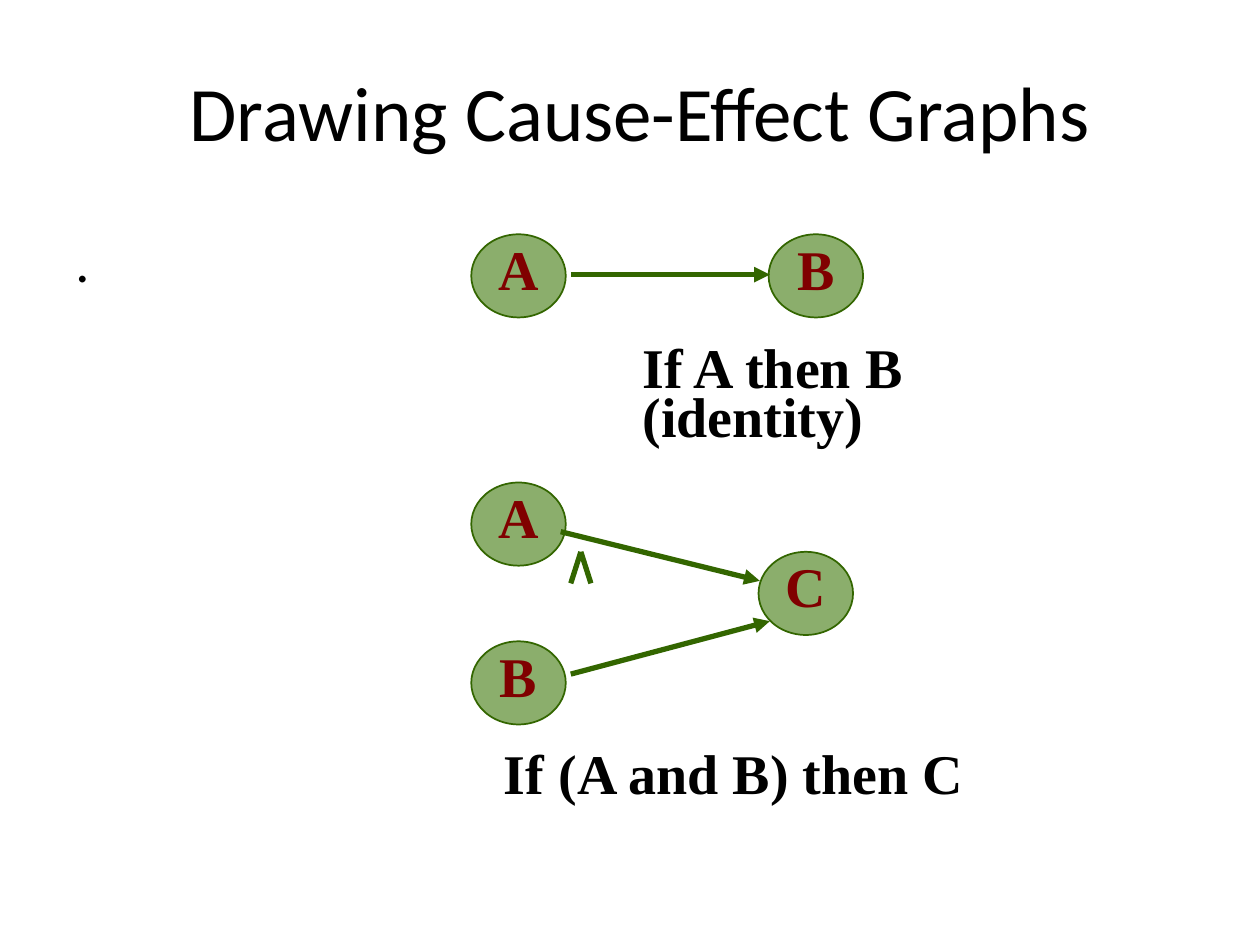
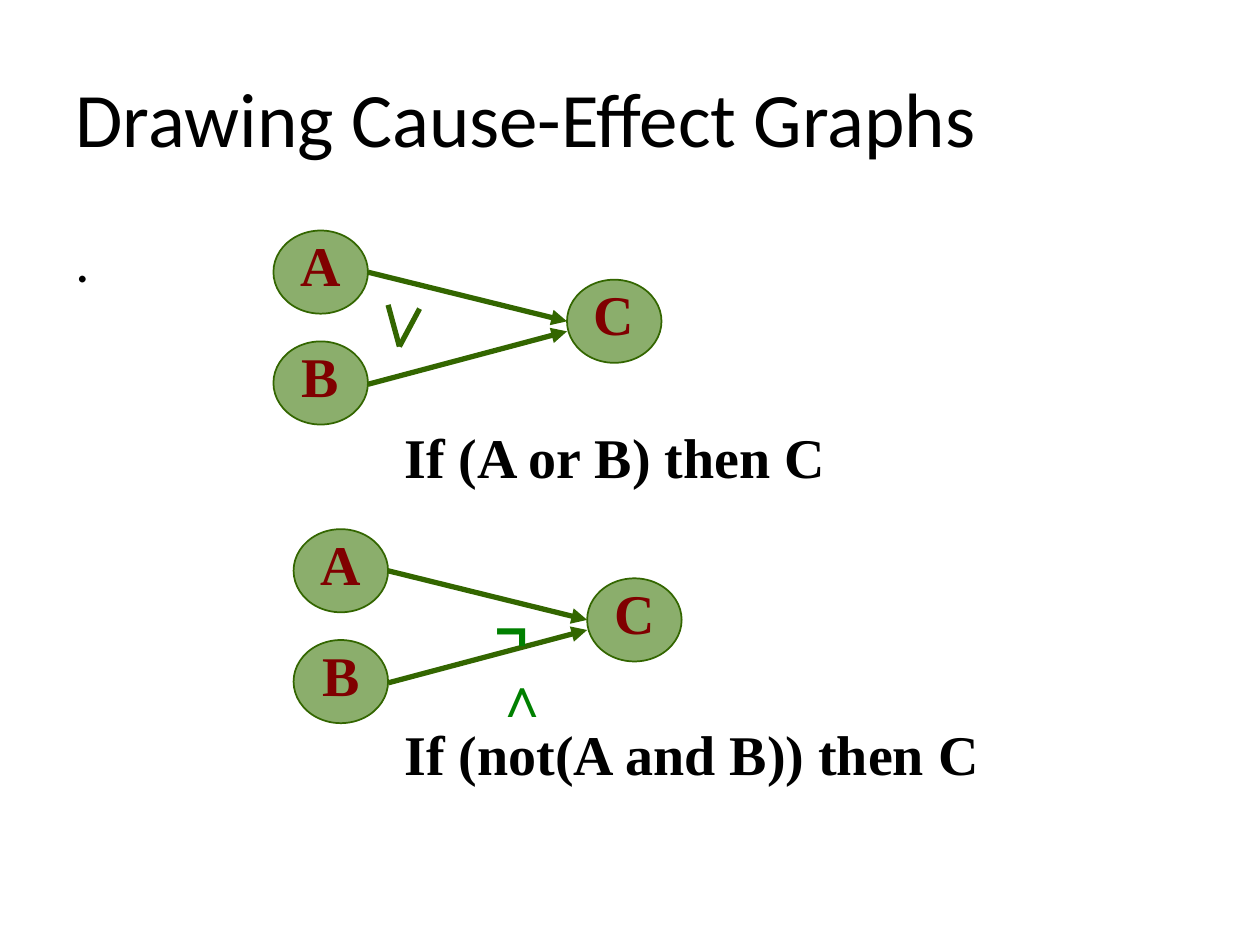
from lxml.etree import SubElement
from pptx import Presentation
from pptx.dml.color import RGBColor
from pptx.enum.shapes import MSO_CONNECTOR, MSO_SHAPE
from pptx.enum.text import MSO_ANCHOR, MSO_AUTO_SIZE, PP_ALIGN
from pptx.oxml.ns import qn
from pptx.util import Inches, Pt

BLACK, MAROON, GREEN = "000000", "800000", "008000"
NODE_FILL, NODE_LINE = "8BAE6C", "336600"
SERIF = "Times New Roman"
NODE_WIDTH, NODE_HEIGHT = 0.75, 0.66
TITLE = "Drawing Cause-Effect Graphs"

# Each title: left, top, width, side inset, alignment
titles = [
    (0.83, 0.25, 8.5, 0.02, PP_ALIGN.CENTER),
    (0.5, 0.3, 9, 0.1, PP_ALIGN.LEFT),
]

# Each node: label, left, top
nodes = [
    [("A", 3.74, 1.86), ("B", 6.1, 1.86),
     ("A", 3.74, 3.83), ("C", 6.02, 4.38), ("B", 3.74, 5.09)],
    [],
]

# Each edge or operator stroke: start x, start y, end x, end y
arrows = [
    [(4.53, 2.18, 6.11, 2.18), (4.45, 4.22, 6.03, 4.61), (4.53, 5.35, 6.11, 4.93)],
    [],
]
strokes = [
    [(4.53, 4.63, 4.61, 4.38), (4.69, 4.63, 4.61, 4.38)],
    [(3.17, 2.75, 3.08, 2.42), (3.17, 2.75, 3.33, 2.45)],
]

# The two graphs of the second slide share one layout
for left, top in [(2.17, 1.83), (2.33, 4.2)]:
    nodes[1] += [("A", left, top), ("C", left + 2.33, top + 0.39),
                 ("B", left, top + 0.88)]
    edge_left, edge_right = left + NODE_WIDTH, left + 2.33
    arrows[1] += [(edge_left, top + 0.33, edge_right, top + 0.72),
                  (edge_left, top + 1.22, edge_right, top + 0.8)]

# Each caption: text, left, top, width
captions = [
    [("If A then B (identity)", 5.08, 2.73, 3.33),
     ("If (A and B) then C", 3.98, 5.95, 4.33)],
    [("If (A or B) then C", 3.19, 3.44, 4.33),
     ("If (not(A and B)) then C", 3.19, 5.8, 4.83)],
]


def color(hex_string):
    return RGBColor.from_string(hex_string)


def write(shape, text, size, font_name, font_color, bold=False, inset=0.02,
          alignment=PP_ALIGN.LEFT, anchor=MSO_ANCHOR.TOP, line_spacing=None):
    """Fill a shape with one paragraph holding one run."""
    frame = shape.text_frame
    frame.auto_size = MSO_AUTO_SIZE.NONE
    frame.word_wrap = True
    frame.vertical_anchor = anchor
    frame.margin_left = frame.margin_right = Inches(inset)
    frame.margin_top = frame.margin_bottom = Inches(0.05)
    paragraph = frame.paragraphs[0]
    paragraph.alignment = alignment
    paragraph.line_spacing = line_spacing
    run = paragraph.add_run()
    run.text = text
    run.font.size = Pt(size)
    run.font.name = font_name
    run.font.bold = bold
    run.font.color.rgb = color(font_color)


presentation = Presentation()
presentation.slide_width = Inches(10)
presentation.slide_height = Inches(7.5)
title_only = presentation.slide_layouts[5]

for index, (left, top, width, inset, alignment) in enumerate(titles):
    slide = presentation.slides.add_slide(title_only)
    title = slide.shapes.title
    title.left, title.top = Inches(left), Inches(top)
    title.width, title.height = Inches(width), Inches(1.25)
    write(title, TITLE, 44, "Calibri", BLACK, inset=inset,
          alignment=alignment, anchor=MSO_ANCHOR.MIDDLE)

    body = slide.shapes.add_textbox(Inches(0.5), Inches(1.75), Inches(9), Inches(4.95))
    write(body, ".", 32, "Calibri", BLACK, inset=0.1)

    for label, left, top in nodes[index]:
        node = slide.shapes.add_shape(MSO_SHAPE.OVAL, Inches(left), Inches(top),
                                      Inches(NODE_WIDTH), Inches(NODE_HEIGHT))
        node.shadow.inherit = False
        node.fill.solid()
        node.fill.fore_color.rgb = color(NODE_FILL)
        node.line.color.rgb = color(NODE_LINE)
        node.line.width = Pt(1)
        write(node, label, 32, SERIF, MAROON, bold=True, alignment=PP_ALIGN.CENTER,
              anchor=MSO_ANCHOR.MIDDLE, line_spacing=0.72)

    arrow_count = len(arrows[index])
    for position, ends in enumerate(arrows[index] + strokes[index]):
        connector = slide.shapes.add_connector(
            MSO_CONNECTOR.STRAIGHT, *[Inches(value) for value in ends])
        connector.line.color.rgb = color(NODE_LINE)
        connector.line.width = Pt(3)
        if position < arrow_count:
            SubElement(connector.line._get_or_add_ln(), qn("a:tailEnd"), type="triangle")
        SubElement(connector._element.spPr, qn("a:effectLst"))

    for text, left, top, width in captions[index]:
        caption = slide.shapes.add_textbox(Inches(left), Inches(top),
                                           Inches(width), Inches(0.63))
        write(caption, text, 32, SERIF, BLACK, bold=True, line_spacing=0.72)

# The narrow box wraps the two operators onto two lines
operators = slide.shapes.add_textbox(Inches(3.83), Inches(4.67), Inches(0.63), Inches(0.64))
write(operators, "¬∧", 32, "Arial", GREEN, bold=True, inset=0.1)

presentation.save("out.pptx")
